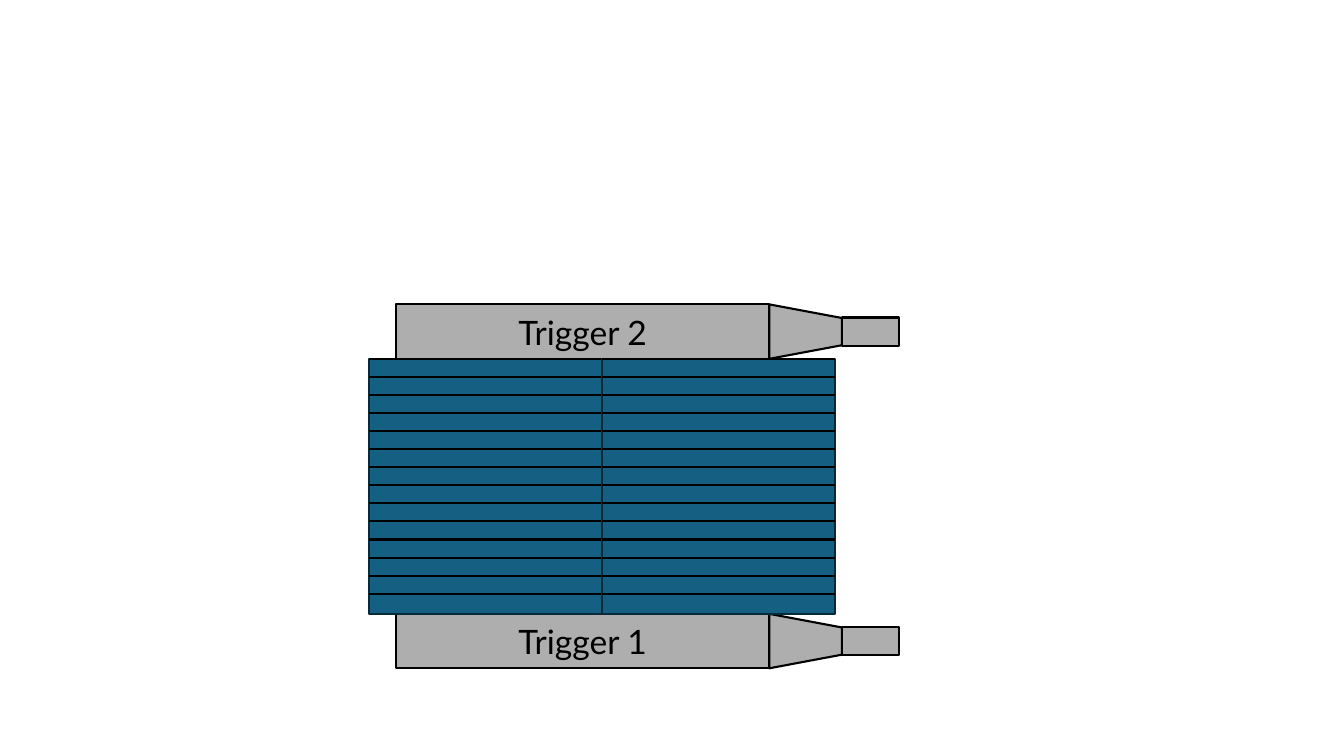
from pptx import Presentation
from pptx.dml.color import RGBColor
from pptx.enum.shapes import MSO_CONNECTOR, MSO_SHAPE
from pptx.enum.text import MSO_ANCHOR, PP_ALIGN
from pptx.oxml.ns import qn
from pptx.util import Inches, Pt
from lxml.etree import SubElement

COLORS = {"trigger": "AEAEAE", "panel": "156082", "panel_edge": "092A39", "black": "000000"}

PANEL_LEFT, PANEL_TOP = 36.6, 35.6
PANEL_WIDTH, PANEL_HEIGHT = 23.1, 25.3
SLAT_COUNT = 14
SLAT_PITCH = 23.3 / (SLAT_COUNT - 1)

TRIGGER_LEFT, TRIGGER_WIDTH, TRIGGER_HEIGHT = 39.3, 37, 5.4
GUIDE_LENGTH = 7.2
TIP_WIDTH, TIP_HEIGHT = 5.7, 2.8


class DetectorSlide:
    """Draws on a grid whose columns and rows are a tenth of an inch."""

    cell = Inches(0.1)
    font_name = "Lato"
    font_size = Pt(24)
    line_width = Pt(1.5)

    def __init__(self, presentation):
        self.slide = presentation.slides.add_slide(presentation.slide_layouts[6])

    def grid(self, *counts):
        return [round(count * self.cell) for count in counts]

    def outline(self, item, color):
        item.line.color.rgb = RGBColor.from_string(COLORS[color])
        item.line.width = self.line_width

    def box(self, column, row, width, height, fill, edge="black", preset=MSO_SHAPE.RECTANGLE):
        shape = self.slide.shapes.add_shape(preset, *self.grid(column, row, width, height))
        shape.shadow.inherit = False
        shape.fill.solid()
        shape.fill.fore_color.rgb = RGBColor.from_string(COLORS[fill])
        self.outline(shape, edge)
        return shape

    def label(self, shape, text):
        shape.text_frame.vertical_anchor = MSO_ANCHOR.MIDDLE
        paragraph = shape.text_frame.paragraphs[0]
        paragraph.text = text
        paragraph.alignment = PP_ALIGN.CENTER
        paragraph.font.name = self.font_name
        paragraph.font.size = self.font_size
        paragraph.font.color.rgb = RGBColor.from_string(COLORS["black"])

    def horizontal_line(self, column, row, width):
        connector = self.slide.shapes.add_connector(
            MSO_CONNECTOR.STRAIGHT, *self.grid(column + width, row, column, row))
        self.outline(connector, "black")
        SubElement(connector._element.spPr, qn("a:effectLst"))

    def trigger(self, row, text):
        """Labelled bar, then a light guide that narrows to the tip on the right."""
        bar = self.box(TRIGGER_LEFT, row, TRIGGER_WIDTH, TRIGGER_HEIGHT, "trigger")
        self.label(bar, text)
        guide_left = TRIGGER_LEFT + TRIGGER_WIDTH
        turn_offset = (GUIDE_LENGTH - TRIGGER_HEIGHT) / 2
        guide = self.box(guide_left + turn_offset, row - turn_offset, TRIGGER_HEIGHT,
                         GUIDE_LENGTH, "trigger", preset=MSO_SHAPE.TRAPEZOID)
        guide.rotation = 90
        self.box(guide_left + GUIDE_LENGTH, row + (TRIGGER_HEIGHT - TIP_HEIGHT) / 2,
                 TIP_WIDTH, TIP_HEIGHT, "trigger")

    def panel(self, column):
        self.box(column, PANEL_TOP, PANEL_WIDTH, PANEL_HEIGHT, "panel", "panel_edge")
        for slat in range(SLAT_COUNT):
            self.horizontal_line(column, PANEL_TOP + slat * SLAT_PITCH, PANEL_WIDTH)


def main():
    presentation = Presentation()
    presentation.slide_width = Inches(13.33)
    presentation.slide_height = Inches(7.5)
    detector = DetectorSlide(presentation)
    detector.trigger(PANEL_TOP + PANEL_HEIGHT, "Trigger 1")
    detector.trigger(PANEL_TOP - TRIGGER_HEIGHT, "Trigger 2")
    for index in range(2):
        detector.panel(PANEL_LEFT + index * PANEL_WIDTH)
    presentation.save("out.pptx")


if __name__ == "__main__":
    main()
